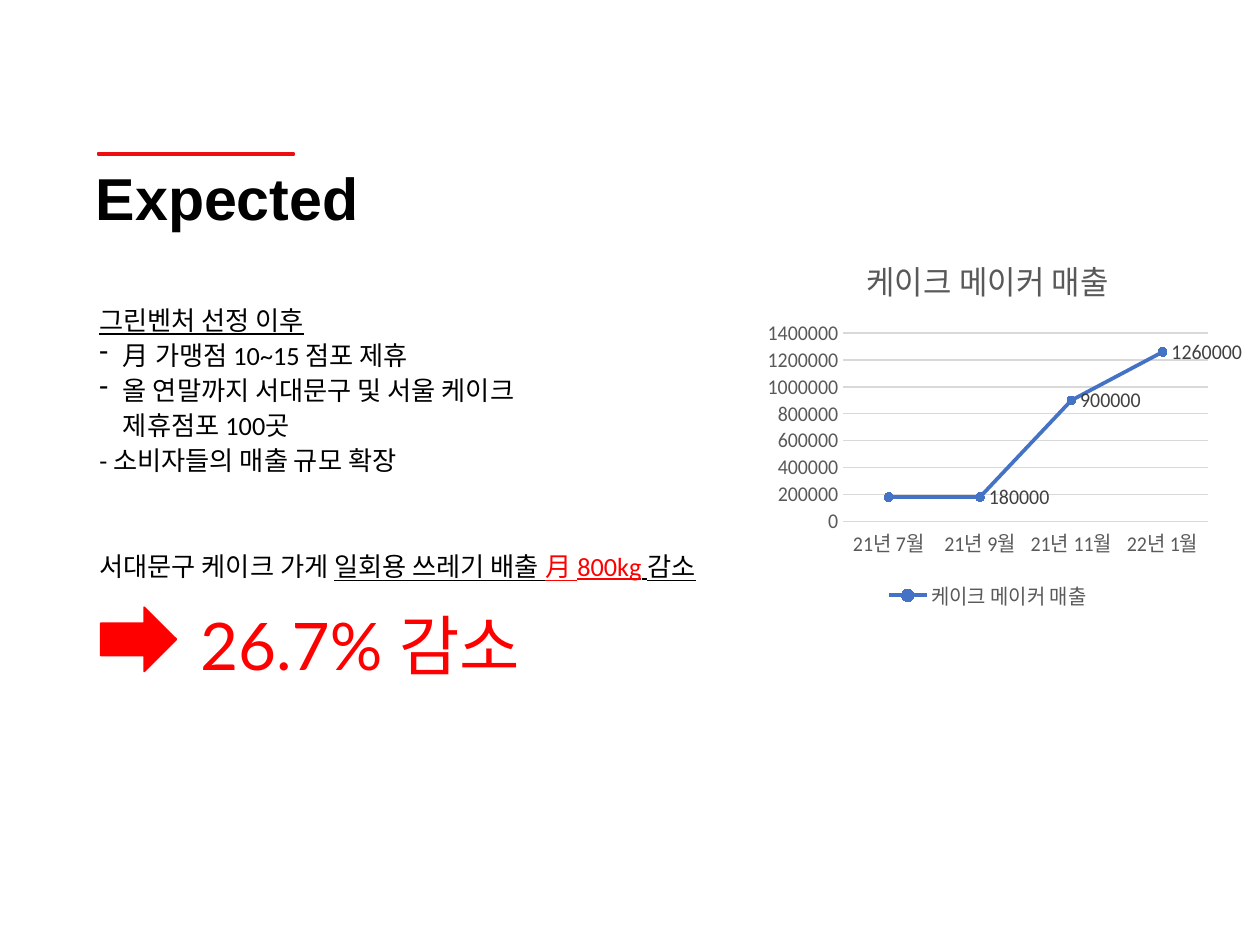
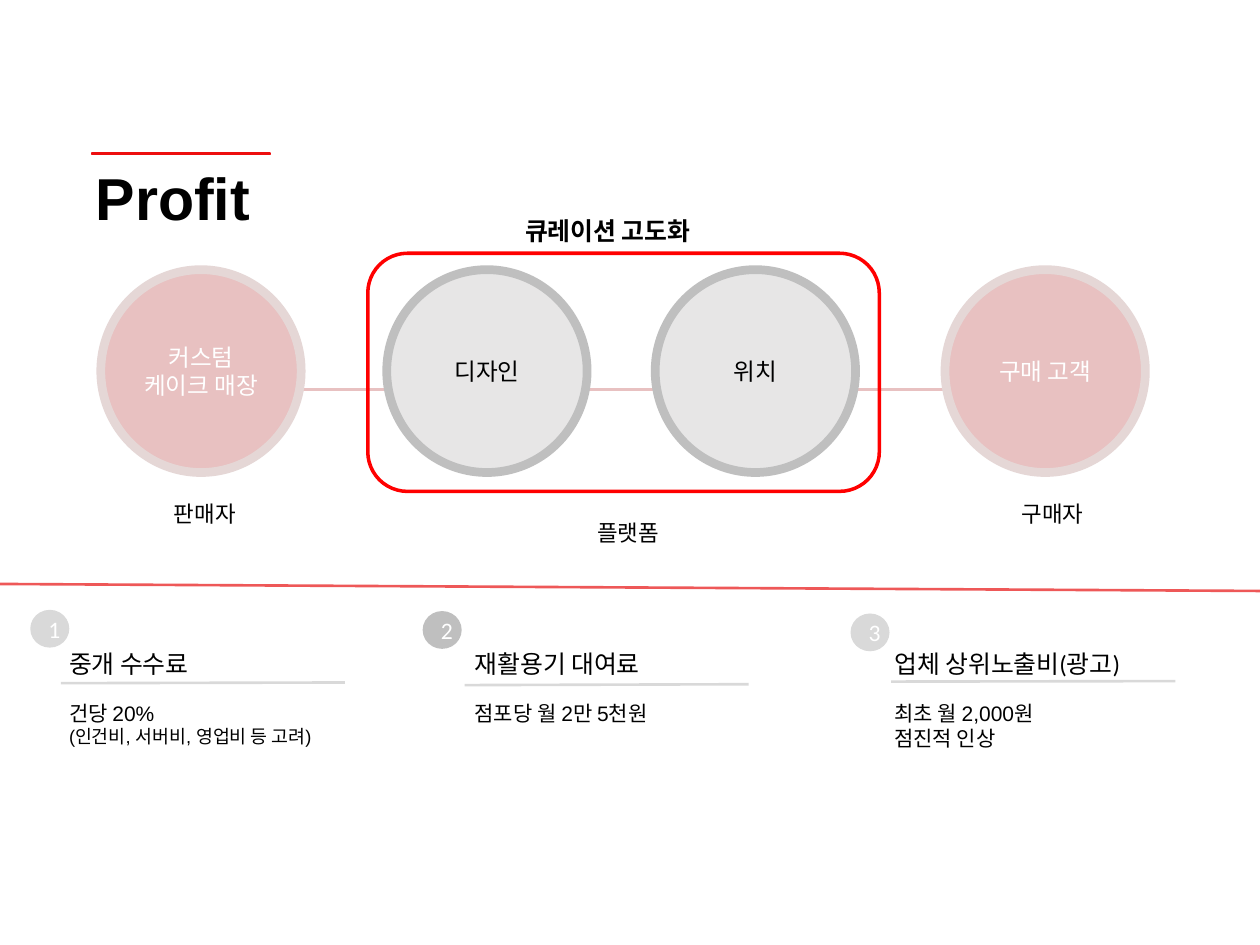
from lxml import etree
from pptx import Presentation
from pptx.chart.data import CategoryChartData
from pptx.dml.color import RGBColor
from pptx.enum.chart import XL_CHART_TYPE, XL_LABEL_POSITION, XL_LEGEND_POSITION, XL_MARKER_STYLE, XL_TICK_MARK
from pptx.enum.shapes import MSO_CONNECTOR, MSO_SHAPE
from pptx.enum.text import MSO_ANCHOR, PP_ALIGN
from pptx.oxml.ns import qn
from pptx.util import Pt

BLACK = RGBColor(0x00, 0x00, 0x00)
WHITE = RGBColor(0xFF, 0xFF, 0xFF)
RED = RGBColor(0xFF, 0x00, 0x00)
ACCENT = RGBColor(0xED, 0x0E, 0x0F)
DIVIDER = RGBColor(0xEE, 0x58, 0x58)
ROSE = RGBColor(0xE8, 0xC1, 0xC1)
ROSE_EDGE = RGBColor(0xE5, 0xD7, 0xD6)
PALE_GRAY = RGBColor(0xE7, 0xE6, 0xE6)
LIGHT_GRAY = RGBColor(0xD9, 0xD9, 0xD9)
MID_GRAY = RGBColor(0xBF, 0xBF, 0xBF)
CHART_TEXT = RGBColor(0x59, 0x59, 0x59)
LABEL_TEXT = RGBColor(0x40, 0x40, 0x40)
SERIES_BLUE = RGBColor(0x44, 0x72, 0xC4)

TITLE_STYLE = {"name": "Arial", "size": 33.8, "bold": True}
BODY_STYLE = {"size": 15}
LABEL_STYLE = {"size": 12.8}
HEADING_STYLE = {"size": 14.2}
DETAIL_STYLE = {"name": "Arial", "size": 12}
NOTE_STYLE = {"name": "Arial", "size": 10.5}
UNDERLINED = {"size": 15, "underline": True}

EXPECTED = {"title": "Expected", "bar": (36, 85.7, 152, 5)}
PROFIT = {"title": "Profit", "bar": (34.5, 86.4, 138, 3)}

PLANS = [
    {"runs": [("그린벤처 선정 이후", UNDERLINED)]},
    {"runs": [("月 가맹점 10~15 점포 제휴", BODY_STYLE)], "indent": -13.5, "bullet": True},
    {"runs": [("올 연말까지 서대문구 및 서울 케이크", BODY_STYLE)], "indent": -13.5, "bullet": True},
    {"runs": [("제휴점포 100곳", BODY_STYLE)], "indent": 0},
    {"runs": [("- 소비자들의 매출 규모 확장", BODY_STYLE)]},
    {"runs": [("서대문구 케이크 가게 ", BODY_STYLE), ("일회용 쓰레기 배출 ", UNDERLINED),
              ("月 800kg", {**UNDERLINED, "color": RED}), (" 감소", UNDERLINED)], "before": 47.7},
]
REDUCTION = [{"runs": [("26.7% ", {"name": "Lato", "size": 37.5, "color": RED}),
                       ("감소", {"size": 37.5, "color": RED})]}]
SALES_NAME = "케이크 메이커 매출"
SALES = {"21년 7월": 180000, "21년 9월": 180000, "21년 11월": 900000, "22년 1월": 1260000}
LABELLED_POINTS = (1, 2, 3)

STAGES = [
    ("커스텀 케이크 매장", 57.6, ROSE, ROSE_EDGE, WHITE),
    ("디자인", 221, PALE_GRAY, MID_GRAY, BLACK),
    ("위치", 374.4, PALE_GRAY, MID_GRAY, BLACK),
    ("구매 고객", 540, ROSE, ROSE_EDGE, WHITE),
]
ROLES = [("판매자", 92.2, 282.2), ("플랫폼", 334.1, 293), ("구매자", 576.7, 282.2)]
CURATION = "큐레이션 고도화"
FEES = [
    {"heading": "중개 수수료", "x": 32.4, "badge": (17.3, 348.5, LIGHT_GRAY), "rule": (34.8, 390.4, 390),
     "details": [("건당 20%", DETAIL_STYLE), ("(인건비, 서버비, 영업비 등 고려)", NOTE_STYLE)]},
    {"heading": "재활용기 대여료", "x": 264.2, "badge": (241.5, 349.2, MID_GRAY), "rule": (265.5, 391.5, 391),
     "details": [("점포당 월 2만 5천원", DETAIL_STYLE)]},
    {"heading": "업체 상위노출비(광고)", "x": 504, "badge": (486, 350.6, LIGHT_GRAY), "rule": (509.3, 389.5, 389.2),
     "details": [("최초 월 2,000원", DETAIL_STYLE), ("점진적 인상", DETAIL_STYLE)]},
]


def points(*lengths):
    return [Pt(length) for length in lengths]


def style_font(font, style):
    values = {"name": "Calibri", "color": BLACK, **style}
    font.color.rgb = values.pop("color")
    values["size"] = Pt(values["size"])
    for key, value in values.items():
        setattr(font, key, value)


def write(frame, paragraphs, layout=None):
    frame.word_wrap = True
    for index, content in enumerate(paragraphs):
        paragraph = frame.add_paragraph() if index else frame.paragraphs[0]
        for key, value in (layout or {}).items():
            setattr(paragraph, key, value)
        if index and "before" in content:
            paragraph.space_before = Pt(content["before"])
        if "indent" in content:
            properties = paragraph._p.get_or_add_pPr()
            properties.set("marL", str(Pt(13.5)))
            properties.set("indent", str(Pt(content["indent"])))
            if content.get("bullet"):
                etree.SubElement(properties, qn("a:buChar")).set("char", "-")
        for text, style in content["runs"]:
            run = paragraph.add_run()
            run.text = text
            style_font(run.font, style)


def add_text(slide, box, paragraphs, layout=None):
    frame = slide.shapes.add_textbox(*points(*box)).text_frame
    write(frame, paragraphs, layout)
    return frame


def add_line_text(slide, box, text, style):
    return add_text(slide, box, [{"runs": [(text, style)]}])


def add_figure(slide, kind, box, fill=None, edge=None, weight=1):
    figure = slide.shapes.add_shape(kind, *points(*box))
    figure.shadow.inherit = False
    for part, color in ((figure.fill, fill), (figure.line.fill, edge)):
        if color is None:
            part.background()
        else:
            part.solid()
            part.fore_color.rgb = color
    if edge is not None:
        figure.line.width = Pt(weight)
    return figure


def add_disc(slide, box, text, fill, ink, edge=None):
    disc = add_figure(slide, MSO_SHAPE.OVAL, box, fill, edge, 5)
    disc.text_frame.vertical_anchor = MSO_ANCHOR.MIDDLE
    write(disc.text_frame, [{"runs": [(text, {"size": 13.5, "color": ink})]}], {"alignment": PP_ALIGN.CENTER})


def add_rule(slide, ends, color):
    rule = slide.shapes.add_connector(MSO_CONNECTOR.STRAIGHT, *points(*ends))
    rule.line.color.rgb = color
    rule.line.width = Pt(1.5)
    etree.SubElement(rule._element.spPr, qn("a:effectLst"))


def start_slide(deck, content):
    slide = deck.slides.add_slide(deck.slide_layouts[6])
    title = add_text(slide, (49.7, 92.2, 620.6, 45.4),
                     [{"runs": [(content["title"], TITLE_STYLE)]}], {"line_spacing": 0.9})
    title.vertical_anchor = MSO_ANCHOR.MIDDLE
    for side, inset in {"left": 5, "top": 2.9, "right": 5, "bottom": 2.9}.items():
        setattr(title, f"margin_{side}", Pt(inset))
    bar = add_figure(slide, MSO_SHAPE.MATH_MINUS, content["bar"], ACCENT, ACCENT)
    bar.adjustments[0] = 0.235
    return slide


def add_sales_chart(slide):
    data = CategoryChartData()
    data.categories = list(SALES)
    data.add_series(SALES_NAME, list(SALES.values()))
    chart = slide.shapes.add_chart(XL_CHART_TYPE.LINE_MARKERS, *points(433.4, 132.5, 276.5, 219.6), data).chart
    small = {"size": 12, "color": CHART_TEXT}
    style_font(chart.font, {"size": 10})

    chart.has_title = True
    write(chart.chart_title.text_frame,
          [{"runs": [(SALES_NAME, {"size": 18.6, "color": CHART_TEXT, "bold": False})]}])
    chart.has_legend = True
    chart.legend.position = XL_LEGEND_POSITION.BOTTOM
    chart.legend.include_in_layout = False
    style_font(chart.legend.font, small)

    for axis in (chart.category_axis, chart.value_axis):
        axis.major_tick_mark = axis.minor_tick_mark = XL_TICK_MARK.NONE
        style_font(axis.tick_labels.font, small)
    chart.value_axis.format.line.fill.background()
    chart.value_axis.has_major_gridlines = True
    for line in (chart.category_axis.format.line, chart.value_axis.major_gridlines.format.line):
        line.color.rgb = LIGHT_GRAY
        line.width = Pt(0.75)

    chart.plots[0].vary_by_categories = False
    sales = chart.plots[0].series[0]
    sales.smooth = False
    sales.format.line.color.rgb = SERIES_BLUE
    sales.format.line.width = Pt(2.25)
    sales.marker.style = XL_MARKER_STYLE.CIRCLE
    sales.marker.size = 5
    sales.marker.format.fill.solid()
    sales.marker.format.fill.fore_color.rgb = SERIES_BLUE
    sales.marker.format.line.color.rgb = SERIES_BLUE
    sales.data_labels.show_value = False
    for index in LABELLED_POINTS:
        label = sales.points[index].data_label
        style_font(label.font, {"size": 12, "color": LABEL_TEXT})
        label.position = XL_LABEL_POSITION.RIGHT


def build_expected(deck):
    slide = start_slide(deck, EXPECTED)
    plans = [{"before": 7.5, **plan} for plan in PLANS]
    add_text(slide, (49.7, 175, 392.4, 177), plans, {"line_spacing": 0.7})
    add_figure(slide, MSO_SHAPE.RIGHT_ARROW, (57.6, 347, 43.2, 36.7), RED, RED)
    add_text(slide, (107.3, 342, 283, 52.6), REDUCTION)
    add_sales_chart(slide)


def build_profit(deck):
    slide = start_slide(deck, PROFIT)
    add_rule(slide, (90, 222.5, 648.7, 222.5), ROSE)
    for text, x, fill, edge, ink in STAGES:
        add_disc(slide, (x, 154.1, 114.5, 115.9), text, fill, ink, edge)
    add_figure(slide, MSO_SHAPE.ROUNDED_RECTANGLE, (210.2, 144.7, 292.3, 136.1), edge=RED, weight=2)
    add_line_text(slide, (293, 119.5, 123.1, 24.5), CURATION, {**HEADING_STYLE, "bold": True})
    for role, x, y in ROLES:
        add_line_text(slide, (x, y, 51.1, 38.2), role, LABEL_STYLE)

    add_rule(slide, (0, 333.7, 720, 337.7), DIVIDER)
    for number, fee in enumerate(FEES, 1):
        x, y, color = fee["badge"]
        add_disc(slide, (x, y, 22.3, 21.6), str(number), color, WHITE)
        add_line_text(slide, (fee["x"], 367.2, 192.2, 24.5), fee["heading"], HEADING_STYLE)
        left, start, end = fee["rule"]
        add_rule(slide, (left, start, left + 162.3, end), LIGHT_GRAY)
        add_text(slide, (fee["x"], 396.5, 192.2, 35), [{"runs": [detail]} for detail in fee["details"]])


def main():
    deck = Presentation()
    deck.slide_width, deck.slide_height = points(720, 540)
    build_expected(deck)
    build_profit(deck)
    deck.save("out.pptx")


if __name__ == "__main__":
    main()
